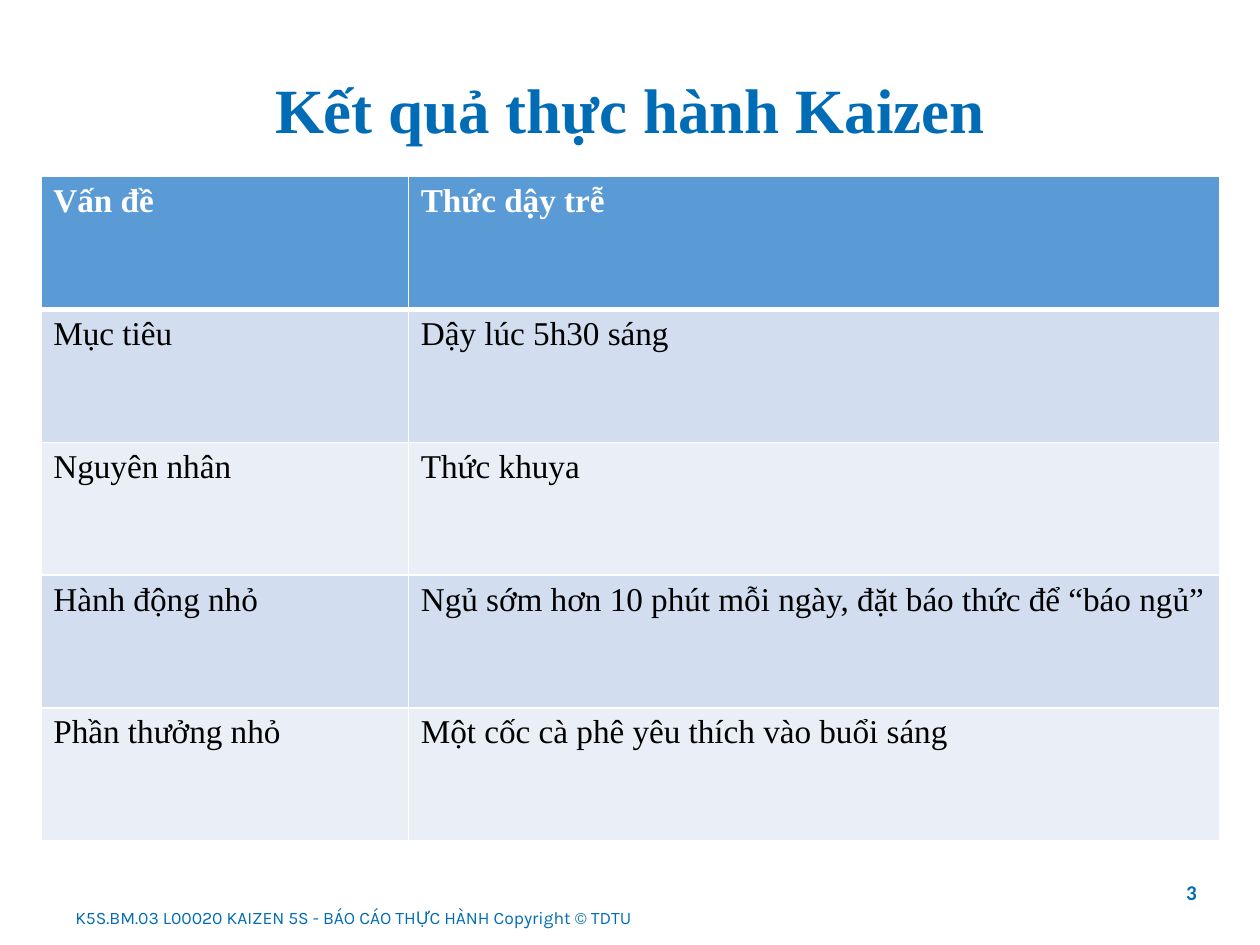
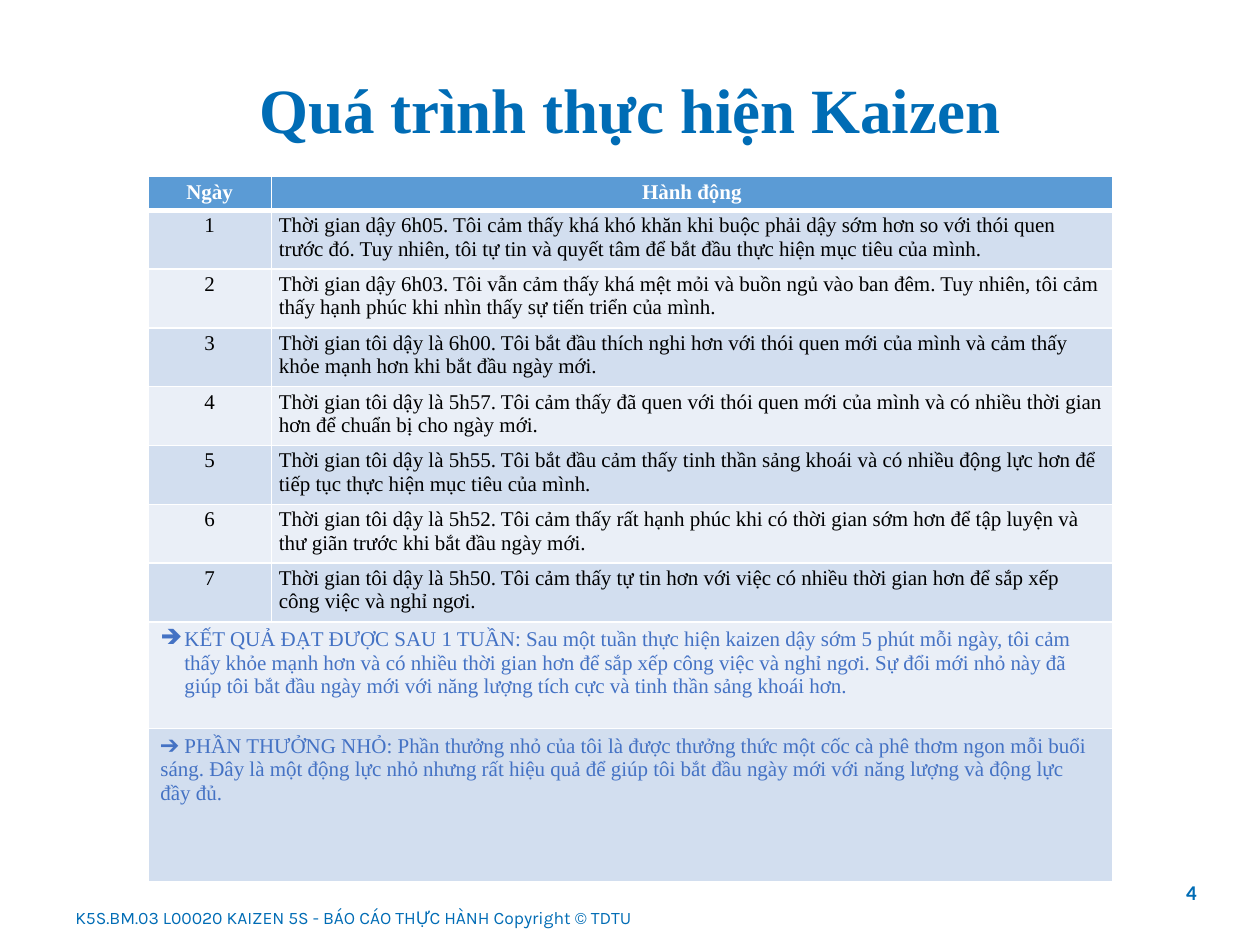
"""Builds the two Kaizen practice report slides: the plan and the daily log."""
import dataclasses

import lxml.etree
import pptx
import pptx.dml.color
import pptx.enum.text
import pptx.oxml.ns
import pptx.util

Pt = pptx.util.Pt
ALIGN = pptx.enum.text.PP_ALIGN
MIDDLE = pptx.enum.text.MSO_ANCHOR.MIDDLE


@dataclasses.dataclass(frozen=True)
class Theme:
    brand: str = "006CB5"
    header: str = "5B9BD5"
    bands: tuple = ("D2DEEF", "EAEFF7")
    paper: str = "FFFFFF"
    ink: str = "000000"
    summary: str = "4472C4"
    serif: str = "Times New Roman"
    title_size: float = 36
    plan_size: float = 19
    log_size: float = 12
    number_size: float = 12
    footer_size: float = 10
    grid_width: float = 1
    header_rule: float = 3
    wide_inset: tuple = (7.2, 3.6)
    tight_inset: tuple = (4.32, 2.16)


class Deck:
    footer = "K5S.BM.03 L00020 KAIZEN 5S - BÁO CÁO THỰC HÀNH Copyright © TDTU"

    def __init__(self, theme, first_number):
        self.theme = theme
        self.number = first_number
        self.slide = None
        self.presentation = pptx.Presentation()
        self.presentation.slide_width = Pt(720)
        self.presentation.slide_height = Pt(540)

    def apply(self, target, values):
        for name, value in values.items():
            setattr(target, name, value)

    def add_words(self, paragraph, text, size, color, font=None, bold=False, **layout):
        self.apply(paragraph, layout)
        run = paragraph.add_run()
        run.text = text
        self.apply(run.font, {"name": font or self.theme.serif, "size": Pt(size), "bold": bold})
        run.font.color.rgb = pptx.dml.color.RGBColor.from_string(color)

    def label(self, bounds, text, size, anchor=None, **style):
        frame = self.slide.shapes.add_textbox(*map(Pt, bounds)).text_frame
        self.apply(frame, {"word_wrap": True, "vertical_anchor": anchor})
        self.add_words(frame.paragraphs[0], text, size, self.theme.brand, **style)

    def new_slide(self, title):
        theme = self.theme
        self.slide = self.presentation.slides.add_slide(self.presentation.slide_layouts[6])
        self.label((643, 499, 48, 26), str(self.number), theme.number_size,
                   font="Calibri", bold=True, alignment=ALIGN.RIGHT)
        self.label((36, 514.8, 540, 19.4), self.footer, theme.footer_size, MIDDLE, font="Karla")
        self.label((36, 28.8, 648, 72), title, theme.title_size, MIDDLE,
                   bold=True, alignment=ALIGN.CENTER, line_spacing=0.9)
        self.number += 1

    def table(self, left, top, widths, heights):
        grid = self.slide.shapes.add_table(
            len(heights), len(widths), Pt(left), Pt(top), Pt(sum(widths)), Pt(sum(heights))).table
        for column, width in zip(grid.columns, widths):
            column.width = Pt(width)
        for row, height in zip(grid.rows, heights):
            row.height = Pt(height)
        for index, row in enumerate(grid.rows):
            for cell in row.cells:
                self.paint(cell, index)
        return grid

    def paint(self, cell, row):
        theme = self.theme
        thin, thick = theme.grid_width, theme.header_rule
        edges = {"L": thin, "R": thin, "T": thick if row == 1 else thin, "B": thin if row else thick}
        properties = cell._tc.get_or_add_tcPr()
        qn = pptx.oxml.ns.qn
        for side, width in edges.items():
            line = lxml.etree.SubElement(properties, qn(f"a:ln{side}"), w=str(Pt(width)))
            solid = lxml.etree.SubElement(line, qn("a:solidFill"))
            lxml.etree.SubElement(solid, qn("a:srgbClr"), val=theme.paper)
        cell.fill.solid()
        color = theme.bands[(row - 1) % 2] if row else theme.header
        cell.fill.fore_color.rgb = pptx.dml.color.RGBColor.from_string(color)

    def fill_cell(self, cell, text, size, color, inset, bullet=None, **style):
        across, down = map(Pt, inset)
        self.apply(cell, {"margin_left": across, "margin_right": across,
                          "margin_top": down, "margin_bottom": down})
        paragraph = cell.text_frame.paragraphs[0]
        if bullet:
            properties = paragraph._p.get_or_add_pPr()
            self.hang(properties, 13.7)
            lxml.etree.SubElement(properties, pptx.oxml.ns.qn("a:buChar"), char=bullet)
        self.add_words(paragraph, text, size, color, **style)

    def hang(self, properties, indent):
        for name, value in {"marL": indent, "indent": -indent}.items():
            properties.set(name, str(Pt(value)))

    def fill_rows(self, grid, rows, size, inset, column_aligns, header_align):
        for index, texts in enumerate(rows):
            color = self.theme.ink if index else self.theme.paper
            for column, text in enumerate(texts):
                align = column_aligns[column] if index else header_align
                self.fill_cell(grid.cell(index, column), text, size, color, inset,
                               bold=index == 0, alignment=align)

    def fill_span(self, grid, row, text, bullet=None):
        cell = grid.cell(row, 0)
        cell.merge(grid.cell(row, len(grid.columns) - 1))
        self.fill_cell(cell, text, self.theme.log_size, self.theme.summary,
                       self.theme.wide_inset, bullet)


PLAN = [
    ("Vấn đề", "Thức dậy trễ"),
    ("Mục tiêu", "Dậy lúc 5h30 sáng"),
    ("Nguyên nhân", "Thức khuya"),
    ("Hành động nhỏ", "Ngủ sớm hơn 10 phút mỗi ngày, đặt báo thức để “báo ngủ”"),
    ("Phần thưởng nhỏ", "Một cốc cà phê yêu thích vào buổi sáng"),
]

DAYS = [
    "Thời gian dậy 6h05. Tôi cảm thấy khá khó khăn khi buộc phải dậy sớm hơn so với thói quen "
    "trước đó. Tuy nhiên, tôi tự tin và quyết tâm để bắt đầu thực hiện mục tiêu của mình.",
    "Thời gian dậy 6h03. Tôi vẫn cảm thấy khá mệt mỏi và buồn ngủ vào ban đêm. Tuy nhiên, "
    "tôi cảm thấy hạnh phúc khi nhìn thấy sự tiến triển của mình.",
    "Thời gian tôi dậy là 6h00. Tôi bắt đầu thích nghi hơn với thói quen mới của mình "
    "và cảm thấy khỏe mạnh hơn khi bắt đầu ngày mới.",
    "Thời gian tôi dậy là 5h57. Tôi cảm thấy đã quen với thói quen mới của mình "
    "và có nhiều thời gian hơn để chuẩn bị cho ngày mới.",
    "Thời gian tôi dậy là 5h55. Tôi bắt đầu cảm thấy tinh thần sảng khoái và có nhiều "
    "động lực hơn để tiếp tục thực hiện mục tiêu của mình.",
    "Thời gian tôi dậy là 5h52. Tôi cảm thấy rất hạnh phúc khi có thời gian sớm hơn "
    "để tập luyện và thư giãn trước khi bắt đầu ngày mới.",
    "Thời gian tôi dậy là 5h50. Tôi cảm thấy tự tin hơn với việc có nhiều thời gian hơn "
    "để sắp xếp công việc và nghỉ ngơi.",
]

RESULT = (
    "KẾT QUẢ ĐẠT ĐƯỢC SAU 1 TUẦN: Sau một tuần thực hiện kaizen dậy sớm 5 phút mỗi ngày, "
    "tôi cảm thấy khỏe mạnh hơn và có nhiều thời gian hơn để sắp xếp công việc và nghỉ ngơi. "
    "Sự đổi mới nhỏ này đã giúp tôi bắt đầu ngày mới với năng lượng tích cực "
    "và tinh thần sảng khoái hơn.")

REWARD = (
    "➔ PHẦN THƯỞNG NHỎ: Phần thưởng nhỏ của tôi là được thưởng thức một cốc cà phê thơm ngon "
    "mỗi buổi sáng. Đây là một động lực nhỏ nhưng rất hiệu quả để giúp tôi bắt đầu ngày mới "
    "với năng lượng và động lực đầy đủ.")


def main():
    theme = Theme()
    deck = Deck(theme, first_number=3)

    deck.new_slide("Kết quả thực hành Kaizen")
    plan = deck.table(23.3, 101, (210, 463.5), [75.9] * len(PLAN))
    deck.fill_rows(plan, PLAN, theme.plan_size, theme.wide_inset,
                   (ALIGN.LEFT, ALIGN.LEFT), ALIGN.LEFT)

    deck.new_slide("Quá trình thực hiện Kaizen")
    log_rows = [("Ngày", "Hành động")]
    log_rows += [(str(day), entry) for day, entry in enumerate(DAYS, 1)]
    log = deck.table(84.5, 101, (70.6, 480.6), [19.2] + [33.6] * len(DAYS) + [60.9, 87.8])
    deck.fill_rows(log, log_rows, theme.log_size, theme.tight_inset,
                   (ALIGN.CENTER, ALIGN.LEFT), ALIGN.CENTER)
    deck.fill_span(log, len(log_rows), RESULT, bullet="➔")
    deck.fill_span(log, len(log_rows) + 1, REWARD)

    deck.presentation.save("out.pptx")


if __name__ == "__main__":
    main()
